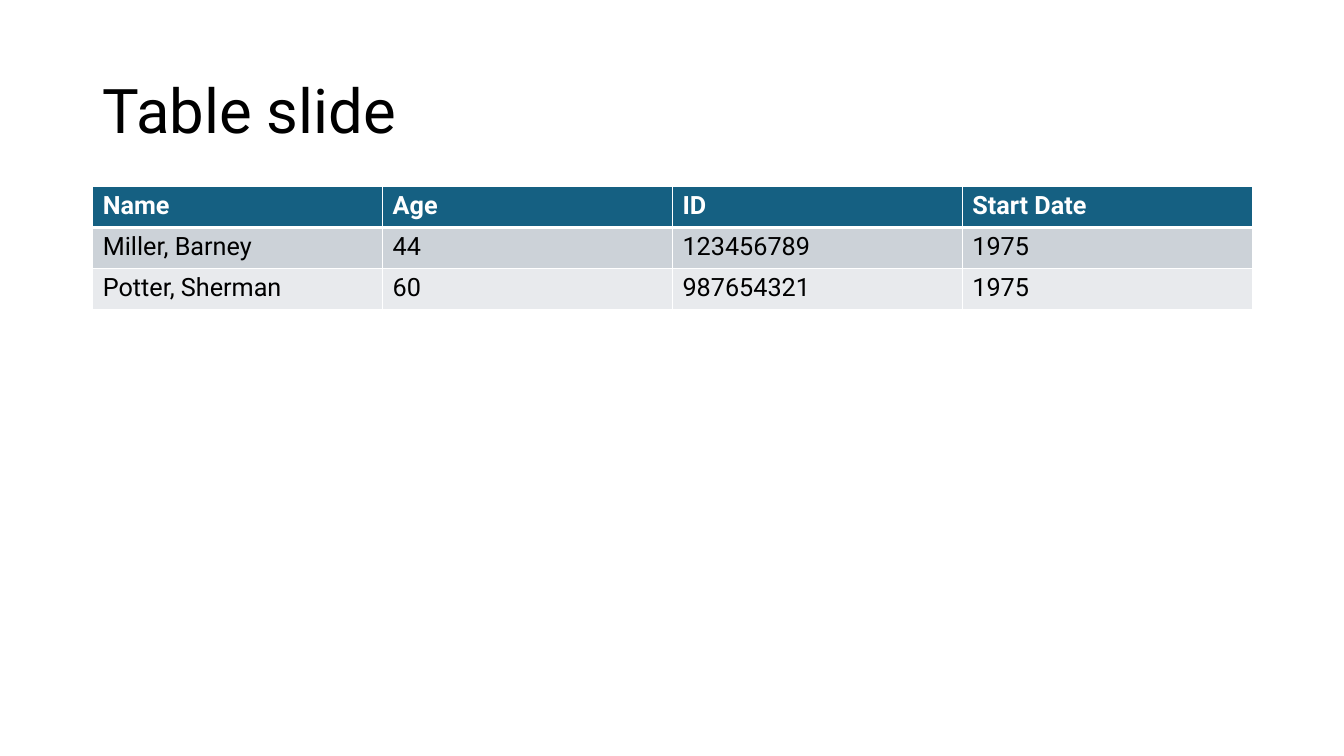
"""Build a slide with a title and a small staff table."""
from lxml import etree
from pptx import Presentation
from pptx import util as u
from pptx.dml import color
from pptx.enum import text
from pptx.oxml import ns


def style_font(font, size, hex_color, bold=False):
    font.name = "Roboto"
    font.size = u.Pt(size)
    font.bold = bold
    font.color.rgb = color.RGBColor.from_string(hex_color)


def add_border(cell, side, points, hex_color):
    line = etree.Element(ns.qn(f"a:ln{side}"), w=str(u.Pt(points)))
    fill = etree.SubElement(line, ns.qn("a:solidFill"))
    etree.SubElement(fill, ns.qn("a:srgbClr"), val=hex_color)
    cell._tc.get_or_add_tcPr().insert(0, line)


presentation = Presentation()
presentation.slide_width = u.Inches(13.33)
presentation.slide_height = u.Inches(7.5)
slide = presentation.slides.add_slide(presentation.slide_layouts[6])

left = u.Inches(0.92)
width = u.Inches(11.5)
title_top = u.Inches(0.4)
title_height = u.Inches(1.45)
table_height = u.Inches(1.22)

title = slide.shapes.add_textbox(left, title_top, width, title_height)
title.text_frame.word_wrap = True
title.text_frame.vertical_anchor = text.MSO_ANCHOR.MIDDLE
paragraph = title.text_frame.paragraphs[0]
paragraph.text = "Table slide"
paragraph.line_spacing = 0.9
style_font(paragraph.font, 44, "000000")

staff_rows = [
    ["Name", "Age", "ID", "Start Date"],
    ["Miller, Barney", "44", "123456789", "1975"],
    ["Potter, Sherman", "60", "987654321", "1975"],
]
row_fills = ["156082", "CCD2D8", "E8EAED"]

table = slide.shapes.add_table(
    len(staff_rows), len(staff_rows[0]), left, title_top + title_height,
    width, table_height).table

for row, values, fill in zip(table.rows, staff_rows, row_fills):
    is_header = values is staff_rows[0]
    for cell, value in zip(row.cells, values):
        cell.fill.solid()
        cell.fill.fore_color.rgb = color.RGBColor.from_string(fill)
        for side in "BTRL":
            is_header_rule = is_header and side == "B" or values is staff_rows[1] and side == "T"
            add_border(cell, side, 3 if is_header_rule else 1, "FFFFFF")
        cell.text = value
        style_font(cell.text_frame.paragraphs[0].font, 18,
                   "FFFFFF" if is_header else "000000", is_header)

presentation.save("out.pptx")
